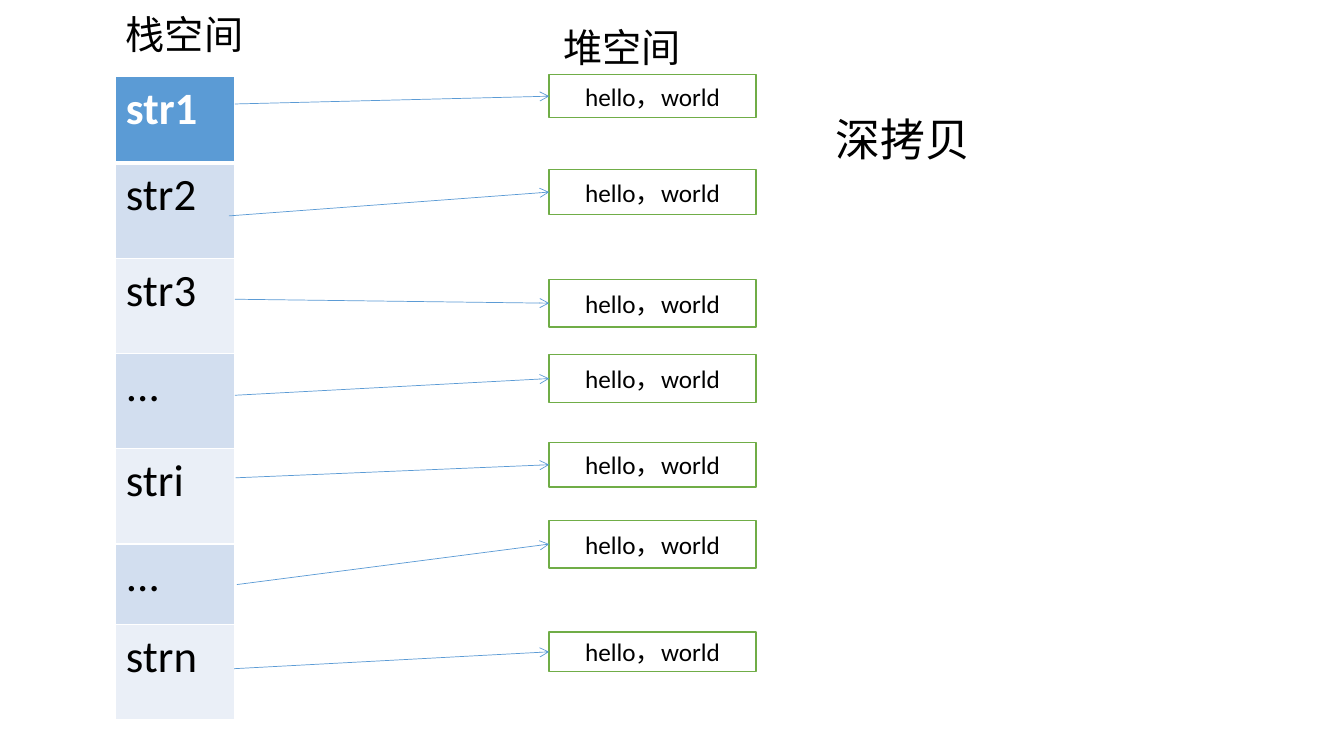
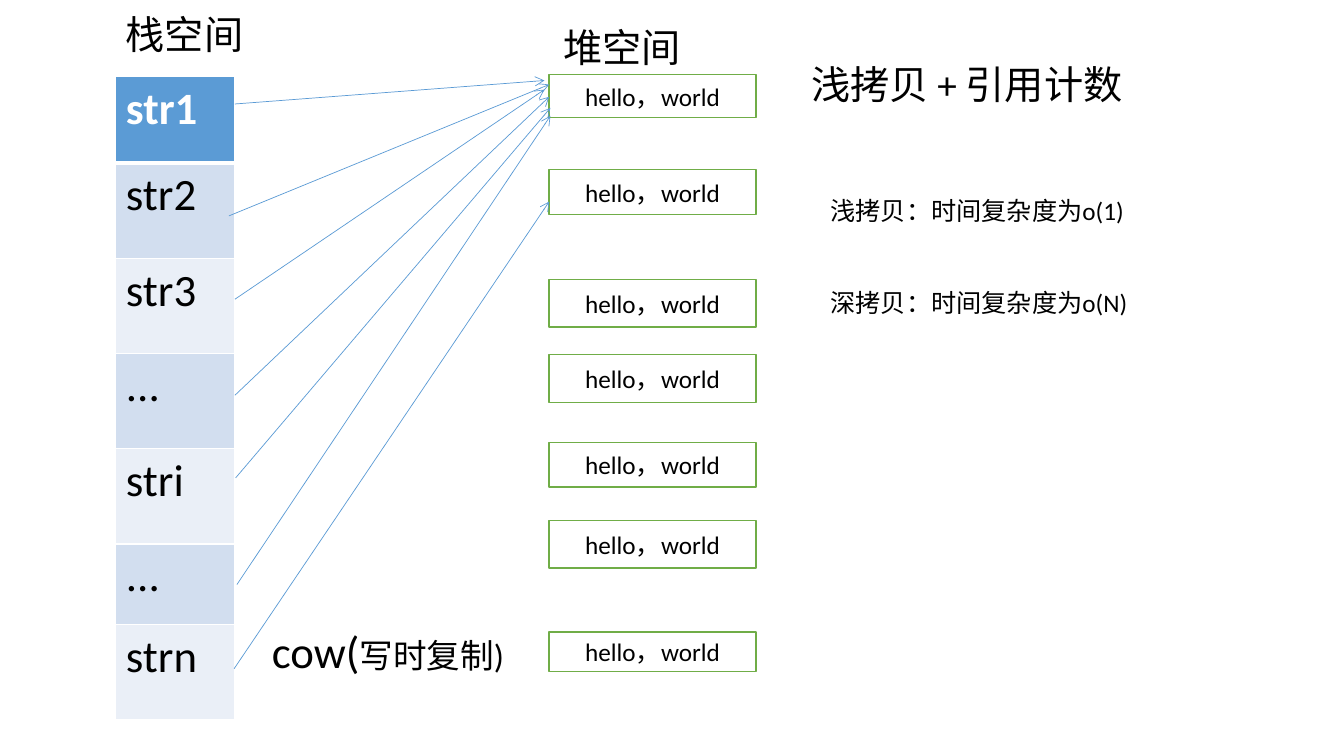
from lxml.etree import SubElement
from pptx import Presentation
from pptx.dml.color import RGBColor
from pptx.enum.shapes import MSO_CONNECTOR, MSO_SHAPE
from pptx.enum.text import MSO_ANCHOR, MSO_AUTO_SIZE, PP_ALIGN
from pptx.oxml.ns import qn
from pptx.util import Cm, Pt

BLACK = RGBColor(0x00, 0x00, 0x00)
WHITE = RGBColor(0xFF, 0xFF, 0xFF)
BLUE = RGBColor(0x5B, 0x9B, 0xD5)
BAND_DARK = RGBColor(0xD2, 0xDE, 0xEF)
BAND_LIGHT = RGBColor(0xEA, 0xEF, 0xF7)
GREEN = RGBColor(0x70, 0xAD, 0x47)
FONT = "Calibri"

# Stack column: variable name and row height in cm
STACK_ROWS = [("str1", 2.18), ("str2", 2.4), ("str3", 2.4), ("...", 2.4),
              ("stri", 2.4), ("...", 2.03), ("strn", 2.4)]
# Heap boxes: top and height in cm
HEAP_LEFT, HEAP_WIDTH = 13.84, 5.21
HEAP_BOXES = [(1.88, 1.09), (4.27, 1.14), (7.04, 1.2), (8.94, 1.2),
              (11.15, 1.12), (13.11, 1.2), (15.93, 0.99)]
# Arrow starts beside the stack rows, in cm
POINTER_STARTS = [(5.92, 2.62), (5.77, 5.44), (5.92, 7.54), (5.92, 9.96),
                  (5.94, 12.04), (5.97, 14.73), (5.9, 16.85)]


class MemoryDeck:
    """Shared style and the slide being drawn."""

    def __init__(self):
        self.presentation = Presentation()
        self.presentation.slide_width = Cm(33.87)
        self.presentation.slide_height = Cm(19.05)
        self.slide = None

    def new_slide(self, title, left, top, width, height, size):
        layout = self.presentation.slide_layouts.get_by_name("Title Only")
        self.slide = self.presentation.slides.add_slide(layout)
        shape = self.slide.shapes.title
        shape.left, shape.top = Cm(left), Cm(top)
        shape.width, shape.height = Cm(width), Cm(height)
        frame = shape.text_frame
        frame.text = title
        frame.word_wrap = True
        frame.auto_size = MSO_AUTO_SIZE.NONE
        frame.vertical_anchor = MSO_ANCHOR.TOP
        frame.paragraphs[0].alignment = PP_ALIGN.LEFT
        self.format_runs(frame, size)

    def format_runs(self, frame, size, color=BLACK, bold=False):
        for paragraph in frame.paragraphs:
            for run in paragraph.runs:
                font = run.font
                font.name, font.size, font.bold = FONT, Pt(size), bold
                font.color.rgb = color

    def text(self, text, left, top, width, height, size, gap=0):
        box = self.slide.shapes.add_textbox(Cm(left), Cm(top), Cm(width), Cm(height))
        frame = box.text_frame
        frame.word_wrap = True
        frame.text = text
        for paragraph in frame.paragraphs[1:]:
            paragraph.space_before = Pt(gap)
        self.format_runs(frame, size)
        return frame

    def box(self, text, left, top, width, height):
        shape = self.slide.shapes.add_shape(
            MSO_SHAPE.RECTANGLE, Cm(left), Cm(top), Cm(width), Cm(height))
        shape.shadow.inherit = False
        shape.fill.solid()
        shape.fill.fore_color.rgb = WHITE
        shape.line.color.rgb = GREEN
        shape.line.width = Pt(1)
        frame = shape.text_frame
        frame.text = text
        frame.vertical_anchor = MSO_ANCHOR.MIDDLE
        frame.paragraphs[0].alignment = PP_ALIGN.CENTER
        self.format_runs(frame, 18)

    def arrow(self, start, end):
        connector = self.slide.shapes.add_connector(
            MSO_CONNECTOR.STRAIGHT, *(Cm(value) for value in (*start, *end)))
        connector.line.color.rgb = BLUE
        connector.line.width = Pt(0.5)
        properties = connector.line._get_or_add_ln()
        SubElement(properties, qn("a:tailEnd"), type="arrow")
        SubElement(connector._element.spPr, qn("a:effectLst"))

    def cell_borders(self, cell, top, bottom):
        properties = cell._tc.get_or_add_tcPr()
        for side, width in (("L", 1), ("R", 1), ("T", top), ("B", bottom)):
            line = SubElement(properties, qn(f"a:ln{side}"), w=str(Pt(width)))
            fill = SubElement(line, qn("a:solidFill"))
            SubElement(fill, qn("a:srgbClr"), val=str(WHITE))

    def stack_table(self, left, top, width):
        height = sum(row_height for _, row_height in STACK_ROWS)
        table = self.slide.shapes.add_table(
            len(STACK_ROWS), 1, Cm(left), Cm(top), Cm(width), Cm(height)).table
        for index, (name, row_height) in enumerate(STACK_ROWS):
            table.rows[index].height = Cm(row_height)
            cell = table.cell(index, 0)
            header = index == 0
            self.cell_borders(cell, 3 if index == 1 else 1, 3 if header else 1)
            cell.fill.solid()
            band = BAND_DARK if index % 2 else BAND_LIGHT
            cell.fill.fore_color.rgb = BLUE if header else band
            cell.text = name
            self.format_runs(cell.text_frame, 32, WHITE if header else BLACK, header)

    def memory_diagram(self, pointer_ends):
        self.stack_table(2.92, 1.93, 3)
        self.text("栈空间", 2.92, 0.13, 7.7, 1.45, 28)
        self.text("堆空间", 13.95, 0.46, 11.1, 1.45, 28)
        for top, height in HEAP_BOXES:
            self.box("hello，world", HEAP_LEFT, top, HEAP_WIDTH, height)
        for start, end in zip(POINTER_STARTS, pointer_ends):
            self.arrow(start, end)


deck = MemoryDeck()

# Deep copy: every variable points to its own box
deck.new_slide("深拷贝", 20.8, 2.69, 11.35, 1.63, 32)
deck.memory_diagram([(HEAP_LEFT, top + height / 2) for top, height in HEAP_BOXES])

# Shallow copy: variables share the first box until one is written
deck.new_slide("浅拷贝 + 引用计数", 20.19, 1.4, 8.51, 2.6, 28)
deck.memory_diagram([(13.72, 2.03), (13.84, 2.13), (13.72, 2.26), (13.84, 2.44),
                     (13.87, 2.72), (13.87, 2.92), (13.84, 5.08)])
copy_on_write = deck.text("cow(", 6.6, 15.6, 7.04, 1.63, 32)
explanation = copy_on_write.paragraphs[0].add_run()
explanation.text = "写时复制)"
explanation.font.name, explanation.font.size = FONT, Pt(24)
explanation.font.color.rgb = BLACK
deck.text("浅拷贝：时间复杂度为o(1)\n深拷贝：时间复杂度为o(N)",
          20.68, 4.8, 9.14, 3.33, 18, gap=44)

deck.presentation.save("out.pptx")
